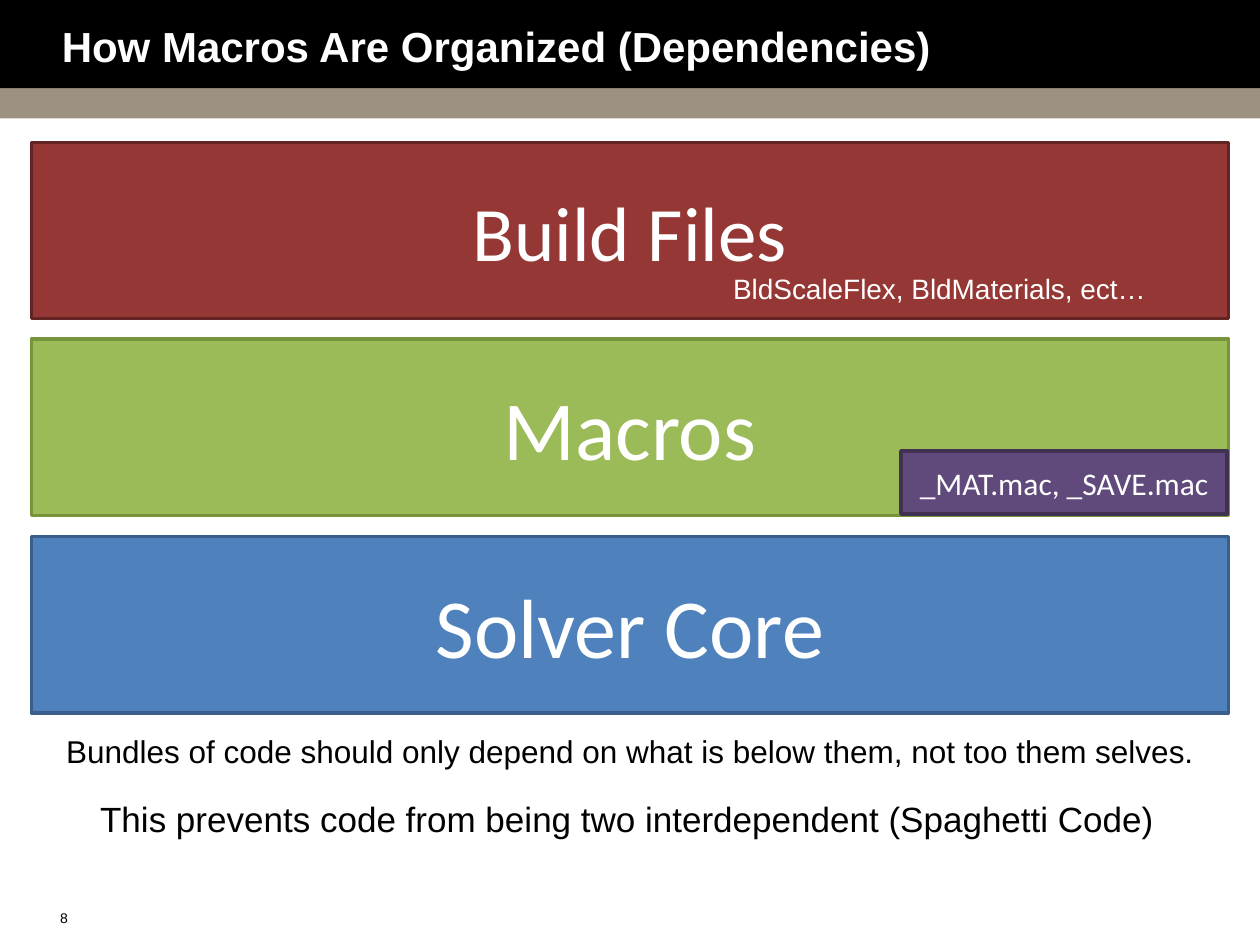
from dataclasses import dataclass

from pptx import Presentation
from pptx.dml.color import RGBColor
from pptx.enum.shapes import MSO_SHAPE
from pptx.enum.text import MSO_ANCHOR, PP_ALIGN
from pptx.util import Inches, Pt

RECTANGLE = MSO_SHAPE.RECTANGLE
MIDDLE, TOP = MSO_ANCHOR.MIDDLE, MSO_ANCHOR.TOP
LEFT, CENTER = PP_ALIGN.LEFT, PP_ALIGN.CENTER
TITLE_ONLY = 5


@dataclass(frozen=True)
class Theme:
    heading_font: str = "Arial"
    block_font: str = "Calibri"
    black: str = "000000"
    white: str = "FFFFFF"
    taupe: str = "9D9282"
    red: tuple = ("953735", "632523")
    green: tuple = ("9BBB59", "77933C")
    blue: tuple = ("4F81BD", "3A5F8C")
    purple: tuple = ("604A7B", "403152")
    title_size: int = 24
    block_size: int = 48
    build_size: int = 44
    conclusion_size: int = 20
    body_size: int = 18
    example_size: int = 16
    number_size: int = 8


theme = Theme()


def write(shape, text, size, font, color, align=LEFT, anchor=TOP, bold=False, wrap=True):
    frame = shape.text_frame
    frame.word_wrap = wrap
    frame.vertical_anchor = anchor
    paragraph = frame.paragraphs[0]
    paragraph.alignment = align
    run = paragraph.add_run()
    run.text = text
    run.font.size = Pt(size)
    run.font.name = font
    run.font.bold = bold
    run.font.color.rgb = RGBColor.from_string(color)


def add_box(slide, box, fill, line=None):
    shape = slide.shapes.add_shape(RECTANGLE, *map(Inches, box))
    shape.shadow.inherit = False
    shape.fill.solid()
    shape.fill.fore_color.rgb = RGBColor.from_string(fill)
    if line:
        shape.line.color.rgb = RGBColor.from_string(line)
        shape.line.width = Pt(2)
    else:
        shape.line.fill.background()
    return shape


presentation = Presentation()
presentation.slide_width = Inches(10)
presentation.slide_height = Inches(7.5)
slide = presentation.slides.add_slide(presentation.slide_layouts[TITLE_ONLY])

# Header bands
add_box(slide, (0, 0.7, 10, 0.24), theme.taupe)
add_box(slide, (0, 0, 10, 0.7), theme.black)

# Title, brought in front of the bands
title = slide.shapes.title
title.element.getparent().append(title.element)
title.left, title.top, title.width, title.height = map(Inches, (0.49, 0, 9, 0.72))
title.text_frame.margin_left = title.text_frame.margin_right = 0
write(title, "How Macros Are Organized (Dependencies)", theme.title_size,
      theme.heading_font, theme.white, anchor=MIDDLE, bold=True)

# Dependency layers, then the tag on the macro layer
blocks = [
    ("Build Files", (0.25, 1.13, 9.5, 1.4), theme.red, theme.build_size),
    ("Macros", (0.25, 2.69, 9.5, 1.4), theme.green, theme.block_size),
    ("Solver Core", (0.25, 4.26, 9.5, 1.4), theme.blue, theme.block_size),
    ("_MAT.mac, _SAVE.mac", (7.15, 3.58, 2.59, 0.5), theme.purple, theme.body_size),
]
for text, box, (fill, line), size in blocks:
    block = add_box(slide, box, fill, line)
    write(block, text, size, theme.block_font, theme.white, CENTER, MIDDLE)

# Build file examples, explanation and slide number
notes = [
    ("BldScaleFlex, BldMaterials, ect…", (5.72, 2.11, 3.98, 0.37),
     theme.example_size, theme.white, LEFT, True),
    ("Bundles of code should only depend on what is below them, not too them selves.",
     (0.13, 5.76, 9.74, 0.4), theme.body_size, theme.black, CENTER, True),
    ("This prevents code from being two interdependent (Spaghetti Code)",
     (0.55, 6.28, 8.86, 0.44), theme.conclusion_size, theme.black, CENTER, True),
    ("8", (0.38, 7.17, 0.34, 0.23), theme.number_size, theme.black, LEFT, False),
]
for text, box, size, color, align, wrap in notes:
    text_box = slide.shapes.add_textbox(*map(Inches, box))
    write(text_box, text, size, theme.heading_font, color, align, wrap=wrap)

presentation.save("out.pptx")
